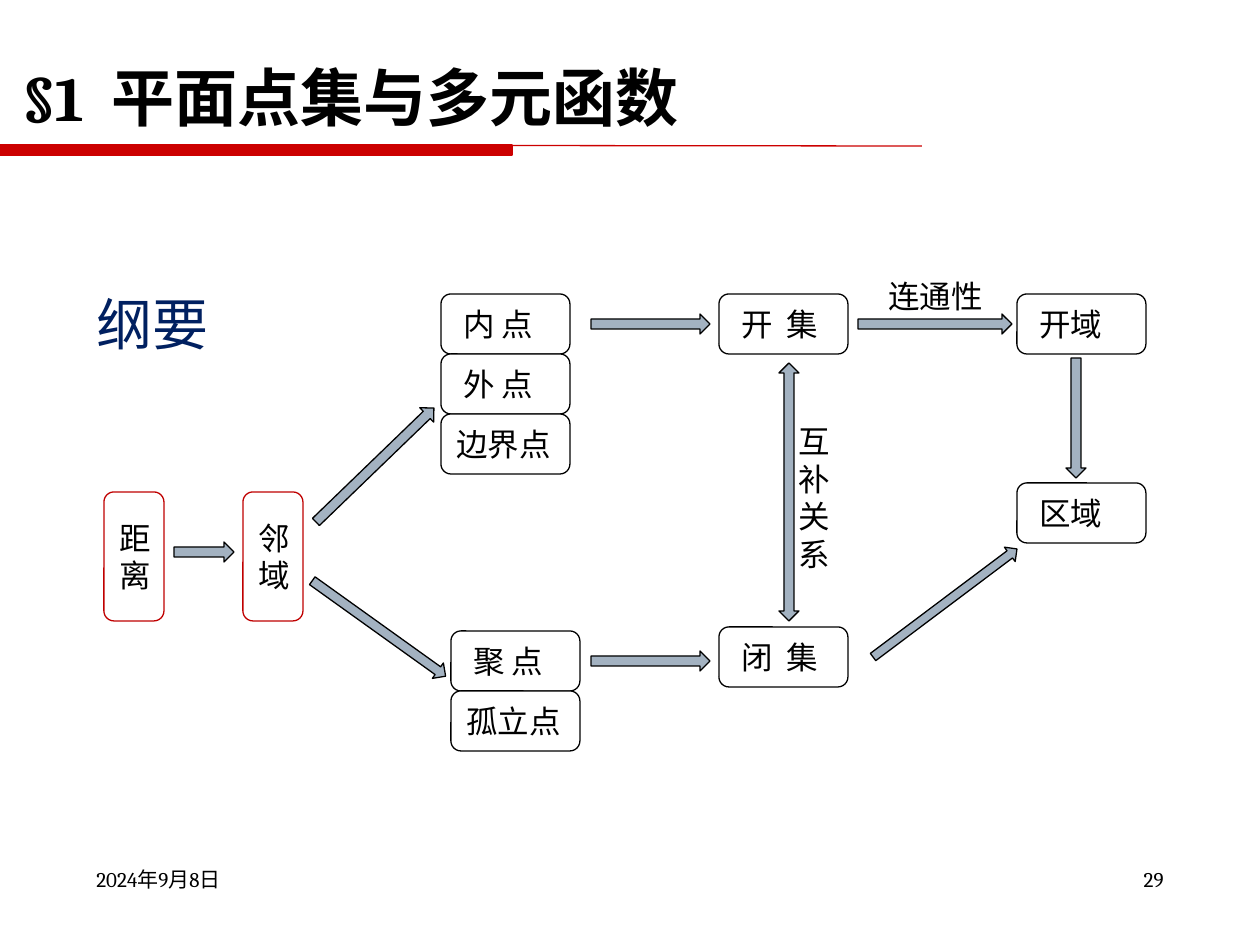
"""Build the outline slide on plane point sets and functions of several variables."""
from lxml import etree
from pptx import Presentation
from pptx.dml.color import RGBColor
from pptx.enum.shapes import MSO_CONNECTOR, MSO_SHAPE
from pptx.enum.text import MSO_ANCHOR, PP_ALIGN
from pptx.oxml.ns import qn
from pptx.util import Emu, Pt

PX = 914400 // 126
SANS, SERIF = "Noto Sans CJK SC", "Cambria"
BLACK, WHITE, NAVY = "000000", "FFFFFF", "002060"
RULE_RED, BOX_RED, ARROW_GREY = "CC0000", "C00000", "A3B2C1"
LEFT, RIGHT = PP_ALIGN.LEFT, PP_ALIGN.RIGHT
RECT, ROUNDED = MSO_SHAPE.RECTANGLE, MSO_SHAPE.ROUNDED_RECTANGLE
PROCESS = MSO_SHAPE.FLOWCHART_ALTERNATE_PROCESS
ARROW_RIGHT, ARROW_DOWN = MSO_SHAPE.RIGHT_ARROW, MSO_SHAPE.DOWN_ARROW
ARROW_UP_DOWN = MSO_SHAPE.UP_DOWN_ARROW

# text, frame, size, line spacing in points, font, colour, bold, alignment
CAPTIONS = [
    ("纲要", (84, 253, 1072, 656), 32, 56, SANS, NAVY, False, LEFT),
    ("2024年9月8日", (84, 860, 273, 66), 12, None, SERIF, BLACK, False, LEFT),
    ("29", (903, 860, 273, 66), 12, None, SERIF, BLACK, False, RIGHT),
    ("§1  平面点集与多元函数", (9, 16, 727, 120), 36, 64, SERIF, BLACK, True, LEFT),
    ("互\n补\n关\n系", (786, 416, 72, 165), 18, 21.5, SERIF, BLACK, False, LEFT),
    ("连通性", (876, 271, 124, 50), 18, 21.5, SERIF, BLACK, False, LEFT),
]
BASIC_IDEAS = [("距\n离", 104), ("邻\n域", 243)]
IDEA_TOP, IDEA_SIZE = 492, (60, 129)
# left, top, names stacked from the top
CONCEPT_STACKS = [
    (441, 294, [" 内 点", " 外 点", "边界点"]),
    (451, 631, [" 聚 点", "孤立点"]),
    (719, 294, [" 开  集"]),
    (719, 627, [" 闭  集"]),
    (1017, 294, [" 开域"]),
    (1017, 483, [" 区域"]),
]
CONCEPT_WIDTH, CONCEPT_PITCH = 129, 60
# kind, frame, rotation
ARROWS = [
    (ARROW_RIGHT, (174, 542, 60, 20), 0),
    (ARROW_RIGHT, (293, 455, 164, 20), 316),
    (ARROW_RIGHT, (297, 619, 164, 19), 35.6),
    (ARROW_RIGHT, (591, 314, 119, 20), 0),
    (ARROW_RIGHT, (591, 651, 119, 20), 0),
    (ARROW_UP_DOWN, (779, 363, 20, 258), 0),
    (ARROW_RIGHT, (858, 314, 154, 20), 0),
    (ARROW_DOWN, (1066, 358, 20, 120), 0),
    (ARROW_DOWN, (936, 513, 18, 180), 233.1),
]


def px(*lengths):
    return [Emu(length * PX) for length in lengths]


def color(code):
    return RGBColor.from_string(code)


def write(frame, text, size, spacing=None, font=SANS, ink=BLACK, bold=False, align=LEFT):
    frame.word_wrap = True
    frame.text = text
    for paragraph in frame.paragraphs:
        paragraph.alignment = align
        if spacing:
            paragraph.line_spacing = Pt(spacing)
        for run in paragraph.runs:
            run.font.size, run.font.bold, run.font.name = Pt(size), bold, font
            run.font.color.rgb = color(ink)
            east_asian = etree.SubElement(run.font._element, qn("a:ea"))
            east_asian.set("typeface", SANS)


def add_block(slide, kind, frame, fill, outline, rotation=0):
    block = slide.shapes.add_shape(kind, *px(*frame))
    block.shadow.inherit = False
    block.fill.solid()
    block.fill.fore_color.rgb = color(fill)
    block.line.color.rgb = color(outline)
    block.line.width = Pt(0.75)
    block.rotation = rotation
    return block


def add_box(slide, kind, frame, text, outline):
    box = add_block(slide, kind, frame, WHITE, outline)
    box.text_frame.vertical_anchor = MSO_ANCHOR.MIDDLE
    box.text_frame.margin_right = 0
    write(box.text_frame, text, 18, 21.5)


def add_title_rule(slide):
    add_block(slide, RECT, (0, 145, 512, 10), RULE_RED, RULE_RED)
    rule = slide.shapes.add_connector(MSO_CONNECTOR.STRAIGHT, *px(0, 145, 922, 146))
    rule.line.color.rgb = color(RULE_RED)
    rule.line.width = Pt(0.75)
    etree.SubElement(rule._element.spPr, qn("a:effectLst"))


def main():
    deck = Presentation()
    deck.slide_width, deck.slide_height = px(1260, 945)
    slide = deck.slides.add_slide(deck.slide_layouts[6])
    add_title_rule(slide)
    for text, frame, *style in CAPTIONS:
        write(slide.shapes.add_textbox(*px(*frame)).text_frame, text, *style)
    for text, left in BASIC_IDEAS:
        add_box(slide, ROUNDED, (left, IDEA_TOP, *IDEA_SIZE), text, BOX_RED)
    for left, top, names in CONCEPT_STACKS:
        for row, name in enumerate(names):
            frame = (left, top + row * CONCEPT_PITCH, CONCEPT_WIDTH, CONCEPT_PITCH)
            add_box(slide, PROCESS, frame, name, BLACK)
    for kind, frame, rotation in ARROWS:
        add_block(slide, kind, frame, ARROW_GREY, BLACK, rotation)
    deck.save("out.pptx")


if __name__ == "__main__":
    main()
